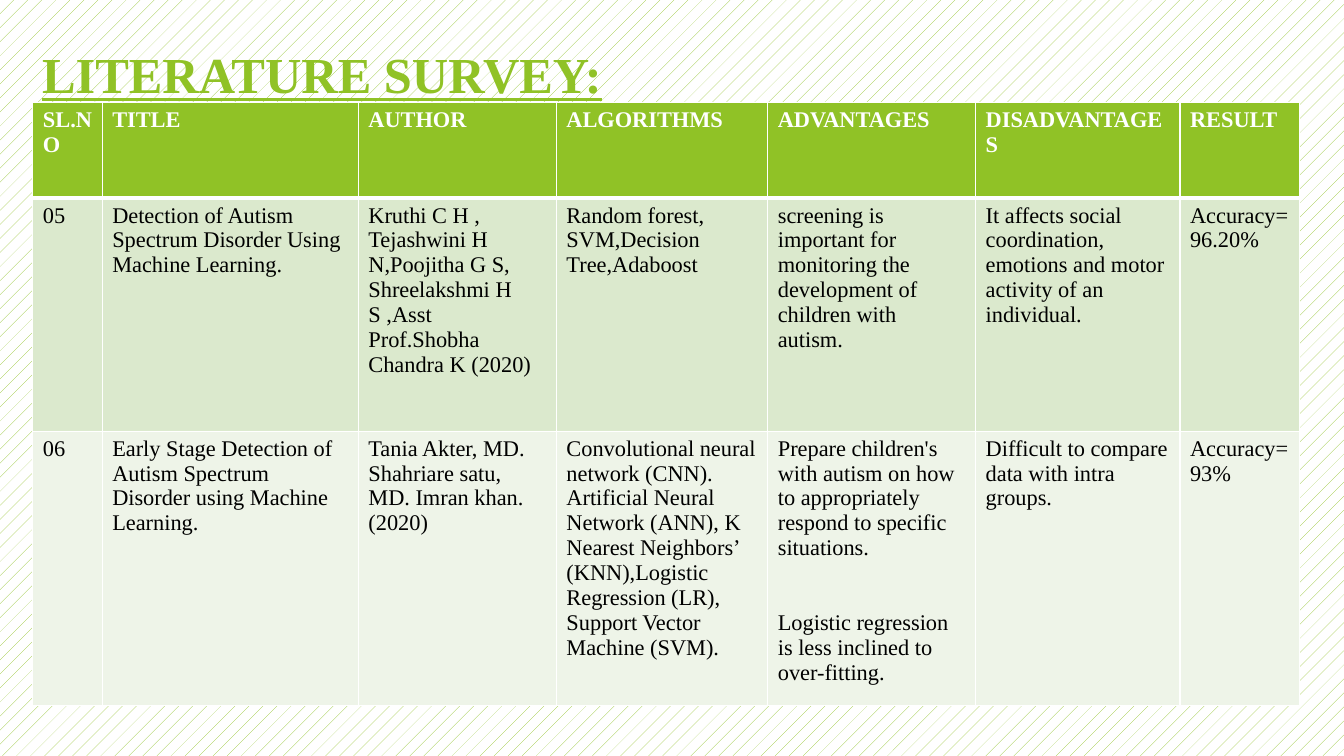
from dataclasses import dataclass

from lxml.etree import SubElement
from pptx import Presentation
from pptx.dml.color import RGBColor
from pptx.enum.dml import MSO_PATTERN
from pptx.oxml.ns import qn
from pptx.slide import Slide
from pptx.table import _Cell
from pptx.util import Pt

FONT = "Times New Roman"
COLORS = {
    "green": "90C226",
    "mint": "DBE9CD",
    "pale": "EEF4E8",
    "white": "FFFFFF",
    "black": "000000",
}
WIDTHS = [49.5, 183, 141.5, 151, 148.5, 146, 85.5]


@dataclass
class Row:
    height: float
    fill: str
    ink: str
    bold: bool
    top: float
    bottom: float
    texts: list[str]


ROWS = [
    Row(68, "green", "white", True, 1, 3, [
        "SL.NO", "TITLE", "AUTHOR", "ALGORITHMS", "ADVANTAGES",
        "DISADVANTAGES", "RESULT",
    ]),
    Row(166.5, "mint", "black", False, 3, 1, [
        "05",
        "Detection of Autism Spectrum Disorder Using Machine Learning.",
        "Kruthi C H , Tejashwini H N,Poojitha G S, Shreelakshmi H S ,"
        "Asst Prof.Shobha Chandra K (2020)",
        "Random forest,\nSVM,Decision Tree,Adaboost",
        "screening is important for monitoring the development of "
        "children with autism.",
        "It affects social coordination, emotions and motor activity "
        "of an individual.",
        "Accuracy=96.20%",
    ]),
    Row(191.5, "pale", "black", False, 1, 1, [
        "06",
        "Early Stage Detection of Autism Spectrum Disorder using "
        "Machine Learning.",
        "Tania Akter, MD. Shahriare satu, MD. Imran khan.(2020)",
        "Convolutional neural network (CNN). Artificial Neural Network "
        "(ANN), K Nearest Neighbors’ (KNN),Logistic Regression (LR), "
        "Support Vector Machine (SVM).",
        "Prepare children's with autism on how to appropriately respond "
        "to specific situations.\n"
        "Logistic regression is less inclined to over-fitting.",
        "Difficult to compare data with intra groups.",
        "Accuracy=\n93%",
    ]),
]


def color(name: str) -> RGBColor:
    return RGBColor.from_string(COLORS[name])


def style(frame, size: float, ink: str, bold: bool, under: bool = False) -> None:
    for para in frame.paragraphs:
        for run in para.runs:
            font = run.font
            font.name = FONT
            font.size = Pt(size)
            font.bold = bold
            font.underline = under
            font.color.rgb = color(ink)


def border(cell: _Cell, top: float, bottom: float) -> None:
    props = cell._tc.get_or_add_tcPr()
    for side, width in (("L", 1), ("R", 1), ("T", top), ("B", bottom)):
        line = SubElement(props, qn(f"a:ln{side}"), w=str(Pt(width)))
        solid = SubElement(line, qn("a:solidFill"))
        SubElement(solid, qn("a:srgbClr"), val=COLORS["white"])


def paint(slide: Slide) -> None:
    fill = slide.background.fill
    fill.patterned()
    fill.pattern = MSO_PATTERN.PERCENT_5
    fill.fore_color.rgb = color("green")
    fill.back_color.rgb = color("white")


def add_title(slide: Slide) -> None:
    box = slide.shapes.add_textbox(Pt(23), Pt(23), Pt(471.5), Pt(83))
    frame = box.text_frame
    frame.word_wrap = True
    frame.margin_top = Pt(8)
    frame.text = "LITERATURE SURVEY:"
    style(frame, 36, "green", True, True)


def add_grid(slide: Slide) -> None:
    total = sum(row.height for row in ROWS)
    table = slide.shapes.add_table(
        len(ROWS), len(WIDTHS), Pt(23.5), Pt(73.5), Pt(sum(WIDTHS)), Pt(total)
    ).table
    for col, width in zip(table.columns, WIDTHS):
        col.width = Pt(width)
    for line, row in zip(table.rows, ROWS):
        line.height = Pt(row.height)
        for cell, text in zip(line.cells, row.texts):
            cell.text_frame.text = text
            style(cell.text_frame, 16, row.ink, row.bold)
            border(cell, row.top, row.bottom)
            cell.fill.solid()
            cell.fill.fore_color.rgb = color(row.fill)
    table.cell(2, 4).text_frame.paragraphs[1].space_before = Pt(35.5)


def main() -> None:
    deck = Presentation()
    deck.slide_width = Pt(960)
    deck.slide_height = Pt(540)
    slide = deck.slides.add_slide(deck.slide_layouts[6])
    paint(slide)
    add_title(slide)
    add_grid(slide)
    deck.save("out.pptx")


if __name__ == "__main__":
    main()
